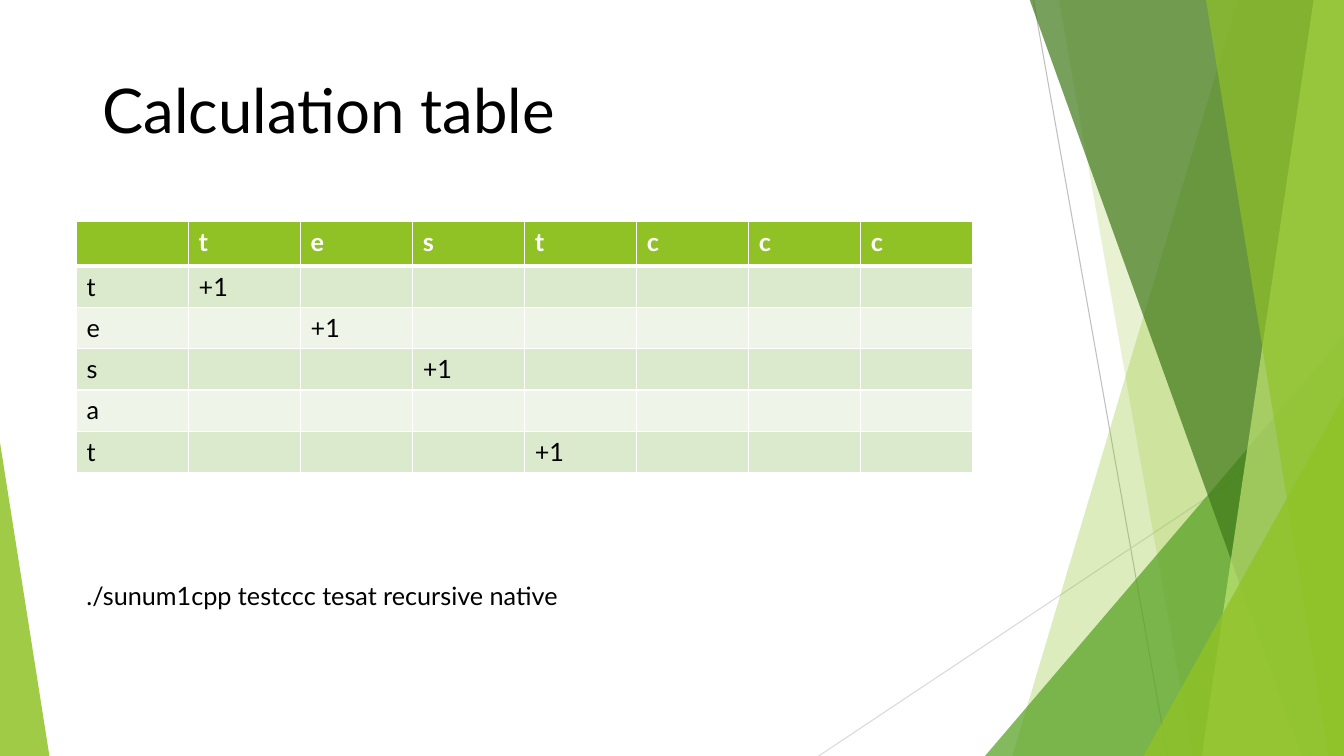
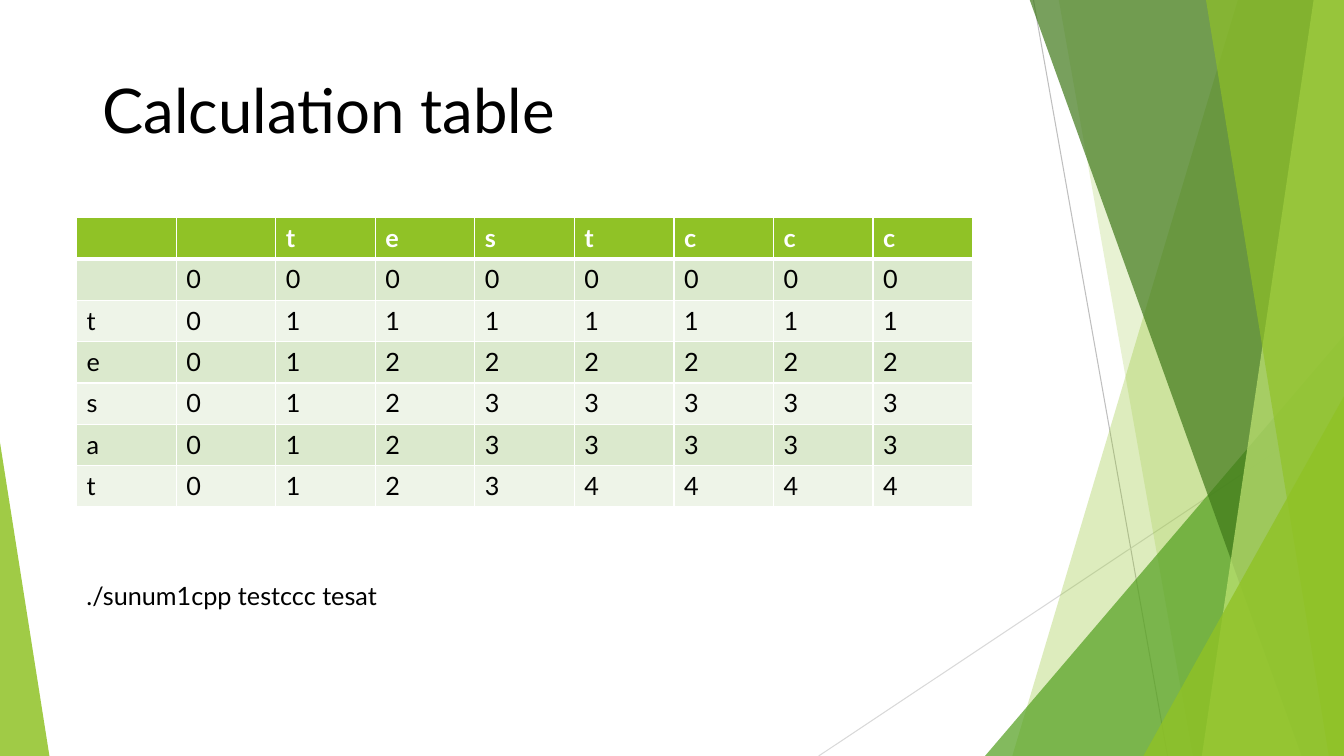
from lxml.etree import SubElement
from pptx import Presentation
from pptx.dml.color import RGBColor
from pptx.enum.shapes import MSO_CONNECTOR as Connector, MSO_SHAPE as Shape
from pptx.enum.text import MSO_ANCHOR as Anchor, MSO_AUTO_SIZE as AutoSize
from pptx.oxml.ns import qn
from pptx.util import Pt

PX = 9144  # EMU per px, 100 px to the inch
WIDTH, HEIGHT = 1333, 750
FONT = "Lato"
BLACK, WHITE = "000000", "FFFFFF"
LIME, GREEN, FOREST, PALE_LIME = "90C226", "54A021", "3F7819", "C0E474"
BANDS = ("DBE9CD", "EEF4E8")


def color(hex_text):
    return RGBColor.from_string(hex_text)


class Deck:
    def __init__(self):
        self.prs = Presentation()
        self.prs.slide_width, self.prs.slide_height = WIDTH * PX, HEIGHT * PX
        self.slide = None

    # Basic elements
    def line(self, x1, y1, x2, y2, hue):
        line = self.slide.shapes.add_connector(
            Connector.STRAIGHT, x1 * PX, y1 * PX, x2 * PX, y2 * PX)
        line.line.color.rgb = color(hue)
        line.line.width = Pt(0.75)
        SubElement(line._element.spPr, qn("a:effectLst"))

    def paint(self, shape, hue, opacity):
        shape.shadow.inherit = False
        shape.line.fill.background()
        shape.fill.solid()
        shape.fill.fore_color.rgb = color(hue)
        srgb = shape._element.spPr.find(".//" + qn("a:srgbClr"))
        SubElement(srgb, qn("a:alpha"), val=str(opacity * 1000))

    def shard(self, top_left, bottom_left, hue, opacity, top_right=WIDTH):
        """Band running from the top to the bottom at the right edge."""
        outline = self.slide.shapes.build_freeform(top_left, -1, scale=PX)
        outline.add_line_segments(
            [(top_right, -1), (WIDTH, HEIGHT), (bottom_left, HEIGHT)])
        self.paint(outline.convert_to_shape(), hue, opacity)

    def triangle(self, x, y, width, peak, hue, opacity):
        """Triangle standing on the bottom edge, peak at 0 left or 1 right."""
        shape = self.slide.shapes.add_shape(
            Shape.ISOSCELES_TRIANGLE, x * PX, y * PX, width * PX, (HEIGHT - y) * PX)
        shape.adjustments[0] = peak
        self.paint(shape, hue, opacity)

    def style(self, paragraph, size, hue=BLACK, bold=False):
        font = paragraph.font
        font.name, font.size, font.bold = FONT, Pt(size), bold
        font.color.rgb = color(hue)

    def text(self, words, x, y, width, height, size):
        frame = self.slide.shapes.add_textbox(
            x * PX, y * PX, width * PX, height * PX).text_frame
        frame.word_wrap = True
        frame.text = words
        self.style(frame.paragraphs[0], size)
        return frame

    # Slide parts
    def new_slide(self):
        self.slide = self.prs.slides.add_slide(self.prs.slide_layouts[6])
        self.line(1025, 0, 1158, HEIGHT, "BFBFBF")
        self.line(WIDTH, 403, 812, HEIGHT, "D9D9D9")
        self.shard(1228, 1004, LIME, 30)
        self.shard(1050, 1183, LIME, 20)
        self.triangle(977, 333, 356, 1, GREEN, 72)
        self.shard(1021, 1291, FOREST, 70)
        self.shard(1303, 1192, PALE_LIME, 70)
        self.shard(1196, 1318, LIME, 65)
        self.triangle(1134, 393, 199, 1, LIME, 80)
        self.triangle(0, 439, 49, 0, LIME, 85)

    def title(self, words):
        frame = self.text(words, 92, 40, 1150, 145, 44)
        frame.vertical_anchor = Anchor.MIDDLE
        frame.paragraphs[0].line_spacing = 0.9

    def command(self, words):
        frame = self.text(words, 76, 571, 666, 40, 18)
        frame.auto_size = AutoSize.SHAPE_TO_FIT_TEXT

    def borders(self, cell, top, bottom):
        props = cell._tc.get_or_add_tcPr()
        for side, points in (("L", 1), ("R", 1), ("T", top), ("B", bottom)):
            edge = SubElement(props, qn("a:ln" + side), w=str(Pt(points)))
            fill = SubElement(edge, qn("a:solidFill"))
            SubElement(fill, qn("a:srgbClr"), val=WHITE)

    def table(self, rows, y, header_height):
        """Each row is a string with its cells parted by |."""
        grid = [row.split("|") for row in rows]
        heights = [header_height] + [41] * (len(grid) - 1)
        table = self.slide.shapes.add_table(
            len(grid), len(grid[0]), 76 * PX, y * PX,
            889 * PX, sum(heights) * PX).table
        for row, height in zip(table.rows, heights):
            row.height = height * PX
        for r, values in enumerate(grid):
            header = r == 0
            for c, value in enumerate(values):
                cell = table.cell(r, c)
                cell.text = value
                self.style(cell.text_frame.paragraphs[0], 18,
                           WHITE if header else BLACK, header)
                self.borders(cell, 3 if r == 1 else 1, 3 if header else 1)
                cell.fill.solid()
                cell.fill.fore_color.rgb = color(LIME if header else BANDS[(r - 1) % 2])


def main():
    deck = Deck()

    # Matching letters
    deck.new_slide()
    deck.table(["|t|e|s|t|c|c|c",
                "t|+1||||||",
                "e||+1|||||",
                "s|||+1||||",
                "a|||||||",
                "t||||+1|||"], 220, 44)
    deck.title("Calculation table")
    deck.command("./sunum1cpp testccc tesat recursive native")

    # Running lengths
    deck.new_slide()
    deck.title("Calculation table")
    deck.command("./sunum1cpp testccc tesat")
    deck.table(["||t|e|s|t|c|c|c",
                "|0|0|0|0|0|0|0|0",
                "t|0|1|1|1|1|1|1|1",
                "e|0|1|2|2|2|2|2|2",
                "s|0|1|2|3|3|3|3|3",
                "a|0|1|2|3|3|3|3|3",
                "t|0|1|2|3|4|4|4|4"], 216, 41)

    deck.prs.save("out.pptx")


if __name__ == "__main__":
    main()
